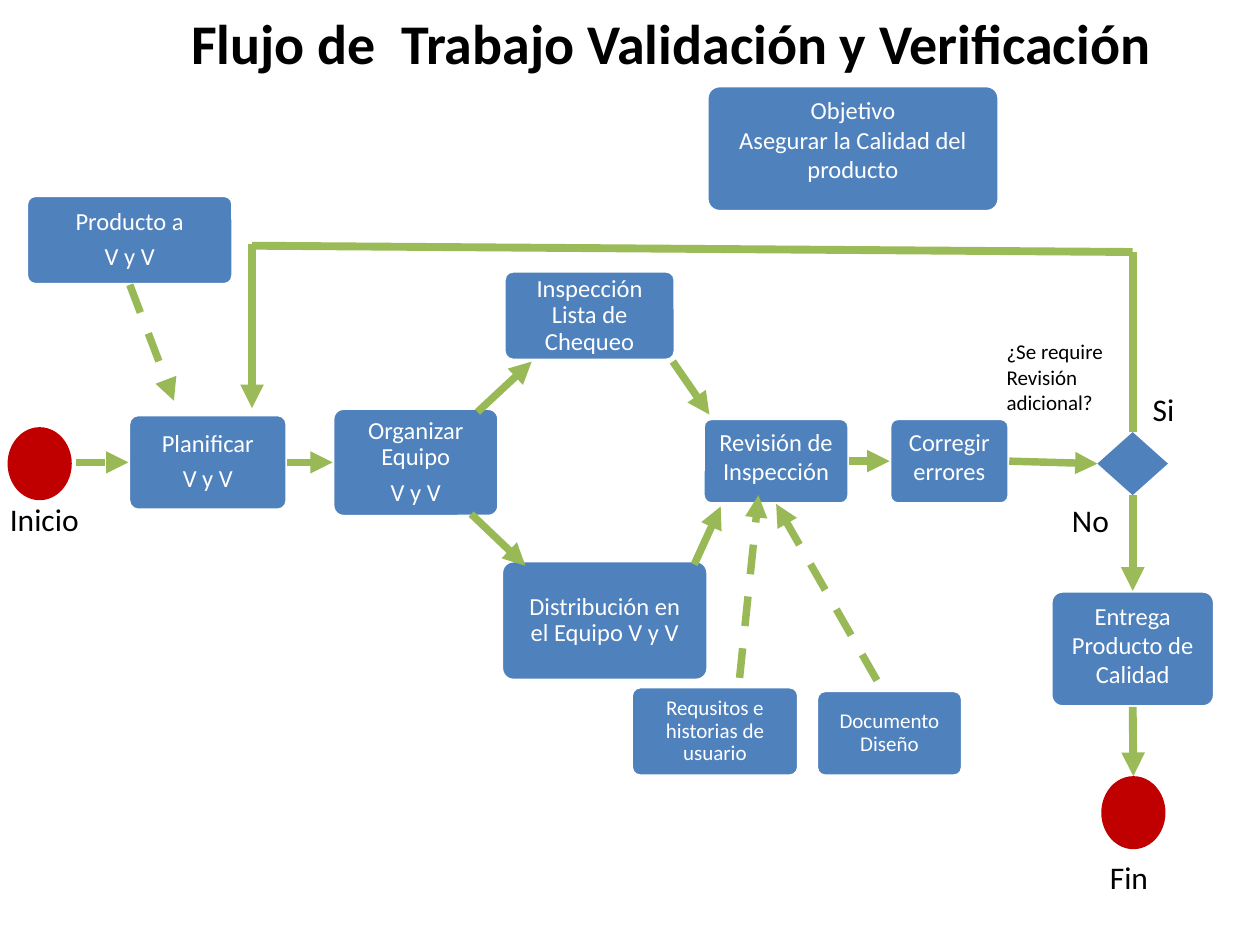
from lxml import etree
from pptx import Presentation
from pptx.dml.color import RGBColor
from pptx.enum.dml import MSO_LINE
from pptx.enum.shapes import MSO_CONNECTOR, MSO_SHAPE
from pptx.enum.text import MSO_ANCHOR, PP_ALIGN
from pptx.oxml.ns import qn
from pptx.util import Inches, Pt

ROUNDED = MSO_SHAPE.ROUNDED_RECTANGLE
ELLIPSE = MSO_SHAPE.OVAL
DIAMOND = MSO_SHAPE.DIAMOND
STRAIGHT = MSO_CONNECTOR.STRAIGHT
DASH = MSO_LINE.DASH
MIDDLE = MSO_ANCHOR.MIDDLE
TOP_ANCHOR = MSO_ANCHOR.TOP
CENTER = PP_ALIGN.CENTER
LEFT_ALIGN = PP_ALIGN.LEFT
TOP, LEFT, BOTTOM, RIGHT = range(4)

COLORS = {
    "step": "4F81BD",
    "terminal": "C00000",
    "arrow": "98B955",
    "return": "9BBB59",
    "light": "FFFFFF",
    "dark": "000000",
}
PADDED = {"margin_left": Inches(0.15), "margin_right": Inches(0.15),
          "margin_top": Inches(0.15), "margin_bottom": Inches(0.15),
          "vertical_anchor": MIDDLE, "word_wrap": True}
PLAIN = {"vertical_anchor": TOP_ANCHOR, "word_wrap": True}
UNWRAPPED = {"vertical_anchor": TOP_ANCHOR, "word_wrap": False}
TIGHT = {"line_spacing": 0.9, "space_after": Pt(5)}


def rgb(name):
    return RGBColor.from_string(COLORS[name])


def apply(target, formats):
    for attribute, value in formats.items():
        setattr(target, attribute, value)


def place(box, part):
    left, top, width, height = part
    return [Inches(v) for v in (box[0] + left, box[1] + top, width, height)]


def write(frame, lines, size, color, align, frame_format, spacing=None, bold=False):
    apply(frame, frame_format)
    for index, line in enumerate(lines):
        paragraph = frame.paragraphs[0] if index == 0 else frame.add_paragraph()
        paragraph.text = line
        apply(paragraph, {"alignment": align, **(spacing or {})})
        apply(paragraph.font, {"name": "Calibri", "size": Pt(size), "bold": bold})
        paragraph.font.color.rgb = rgb(color)


def add_symbol(slide, box, part, kind, color):
    symbol = slide.shapes.add_shape(kind, *place(box, part))
    symbol.shadow.inherit = False
    symbol.fill.solid()
    symbol.fill.fore_color.rgb = rgb(color)
    symbol.line.fill.background()
    return symbol


def add_step(slide, box, part, lines, size=14, padded=True):
    step = add_symbol(slide, box, part, ROUNDED, "step")
    step.adjustments[0] = 0.1
    step.line.color.rgb = rgb("light")
    step.line.width = Pt(2)
    write(step.text_frame, lines, size, "light", CENTER,
          PADDED if padded else PLAIN, TIGHT if padded else None)
    return step


def add_label(slide, box, part, lines, size=18):
    label = slide.shapes.add_textbox(*place(box, part))
    write(label.text_frame, lines, size, "dark", LEFT_ALIGN, UNWRAPPED)


def add_link(slide, start, end, color="arrow", width=4.25, dashed=False,
             arrow=True, source=None, target=None):
    link = slide.shapes.add_connector(STRAIGHT, *[Inches(v) for v in (*start, *end)])
    if source:
        link.begin_connect(*source)
    if target:
        link.end_connect(*target)
    link.line.color.rgb = rgb(color)
    link.line.width = Pt(width)
    if dashed:
        link.line.dash_style = DASH
    if arrow:
        etree.SubElement(link.line._get_or_add_ln(), qn("a:tailEnd"), type="triangle")
    etree.SubElement(link._element.spPr, qn("a:effectLst"))


def draw_title(slide, box):
    title = slide.shapes.title
    apply(title, dict(zip(("left", "top", "width", "height"),
                          [Inches(v) for v in box])))
    write(title.text_frame, ["Flujo de  Trabajo Validación y Verificación"], 32,
          "dark", CENTER, {"vertical_anchor": MIDDLE, "word_wrap": True}, bold=True)


def draw_preparation(slide, box):
    add_symbol(slide, box, (0.06, 1.89, 0.51, 0.58), ELLIPSE, "terminal")
    add_label(slide, box, (-0.02, 2.42, 0.75, 0.4), ["Inicio"])
    return {
        "product": add_step(slide, box, (0.21, 0.05, 1.64, 0.71), ["Producto a", "V y V"]),
        "plan": add_step(slide, box, (1.02, 1.79, 1.26, 0.76), ["Planificar", "V y V"]),
        "organize": add_step(slide, box, (2.64, 1.74, 1.32, 0.86),
                             ["Organizar Equipo", "V y V"]),
    }


def draw_inspection(slide, box):
    add_step(slide, box, (0.02, 0, 1.36, 0.71), ["Inspección Lista de Chequeo"])
    add_step(slide, box, (0, 2.3, 1.64, 0.95), ["Distribución en el Equipo V y V"])


def draw_review(slide, box):
    add_step(slide, box, (0, 2.13, 1.33, 0.71), ["Requsitos e historias de usuario"], 12)
    add_step(slide, box, (1.47, 2.16, 1.16, 0.68), ["Documento Diseño"], 12)
    return {
        "review": add_step(slide, box, (0.57, 0, 1.16, 0.68),
                           ["Revisión de Inspección"], padded=False),
        "correct": add_step(slide, box, (2.05, 0, 0.95, 0.68),
                            ["Corregir errores"], padded=False),
    }


def draw_delivery(slide, box):
    add_label(slide, box, (0, 0, 0.97, 0.71), ["¿Se require", "Revisión", "adicional?"], 12)
    add_label(slide, box, (1.16, 0.41, 0.5, 0.4), ["Si"])
    add_label(slide, box, (0.52, 1.29, 0.5, 0.4), ["No"])
    add_label(slide, box, (0.82, 4.12, 0.51, 0.4), ["Fin"])
    return {
        "decision": add_symbol(slide, box, (0.82, 0.79, 0.56, 0.5), DIAMOND, "step"),
        "delivery": add_step(slide, box, (0.45, 2.05, 1.3, 0.92),
                             ["Entrega Producto de Calidad"], padded=False),
        "end": add_symbol(slide, box, (0.85, 3.52, 0.51, 0.58), ELLIPSE, "terminal"),
    }


def draw_objective(slide, box):
    add_step(slide, box, (0, 0, *box[2:]),
             ["Objetivo", "Asegurar la Calidad del producto"], padded=False)


def draw_links(slide, steps):
    def site(name, side):
        return steps[name], side

    dashed_links = [
        ((0.6, 3.67), (1.01, 3.67), None, site("plan", LEFT)),
        ((2.27, 3.67), (2.64, 3.67), site("plan", RIGHT), site("organize", LEFT)),
        ((6.73, 3.66), (7.05, 3.66), site("review", RIGHT), site("correct", LEFT)),
        ((1.03, 2.26), (1.38, 3.18), site("product", BOTTOM), None),
        ((5.87, 5.38), (6.02, 3.93), None, None),
        ((6.96, 5.4), (6.16, 4), None, None),
    ]
    solid_links = [
        ((3.74, 4.08), (4.17, 4.49), None, None),
        ((3.79, 3.27), (4.22, 2.87), None, None),
        ((5.34, 2.87), (5.63, 3.29), None, None),
        ((5.51, 4.48), (5.72, 4.02), None, None),
        ((8.01, 3.66), (8.71, 3.68), site("correct", RIGHT), site("decision", LEFT)),
    ]
    for links, dashed in ((dashed_links, True), (solid_links, False)):
        for start, end, source, target in links:
            add_link(slide, start, end, dashed=dashed, source=source, target=target)

    decision_links = [
        ((8.99, 3.43), (8.99, 2), False, site("decision", TOP), None),
        ((8.99, 2), (2, 1.95), False, None, None),
        ((2, 1.94), (2, 3.24), True, None, None),
        ((8.99, 3.93), (8.99, 4.69), True, site("decision", BOTTOM), site("delivery", TOP)),
        ((8.99, 5.61), (8.99, 6.16), True, site("delivery", BOTTOM), site("end", TOP)),
    ]
    for start, end, arrow, source, target in decision_links:
        add_link(slide, start, end, "return", 4.5, arrow=arrow,
                 source=source, target=target)


def main():
    deck = Presentation()
    deck.slide_width, deck.slide_height = Inches(10), Inches(7.5)
    slide = deck.slides.add_slide(deck.slide_layouts[5])
    draw_title(slide, (0.83, -0.29, 9, 1.25))
    draw_objective(slide, (5.61, 0.68, 2.32, 1))
    steps = draw_preparation(slide, (0, 1.5, 3.96, 2.82))
    draw_inspection(slide, (3.98, 2.15, 1.64, 3.25))
    steps.update(draw_review(slide, (5.01, 3.32, 3, 2.84)))
    steps.update(draw_delivery(slide, (7.89, 2.64, 1.75, 4.52)))
    draw_links(slide, steps)
    deck.save("out.pptx")


if __name__ == "__main__":
    main()
